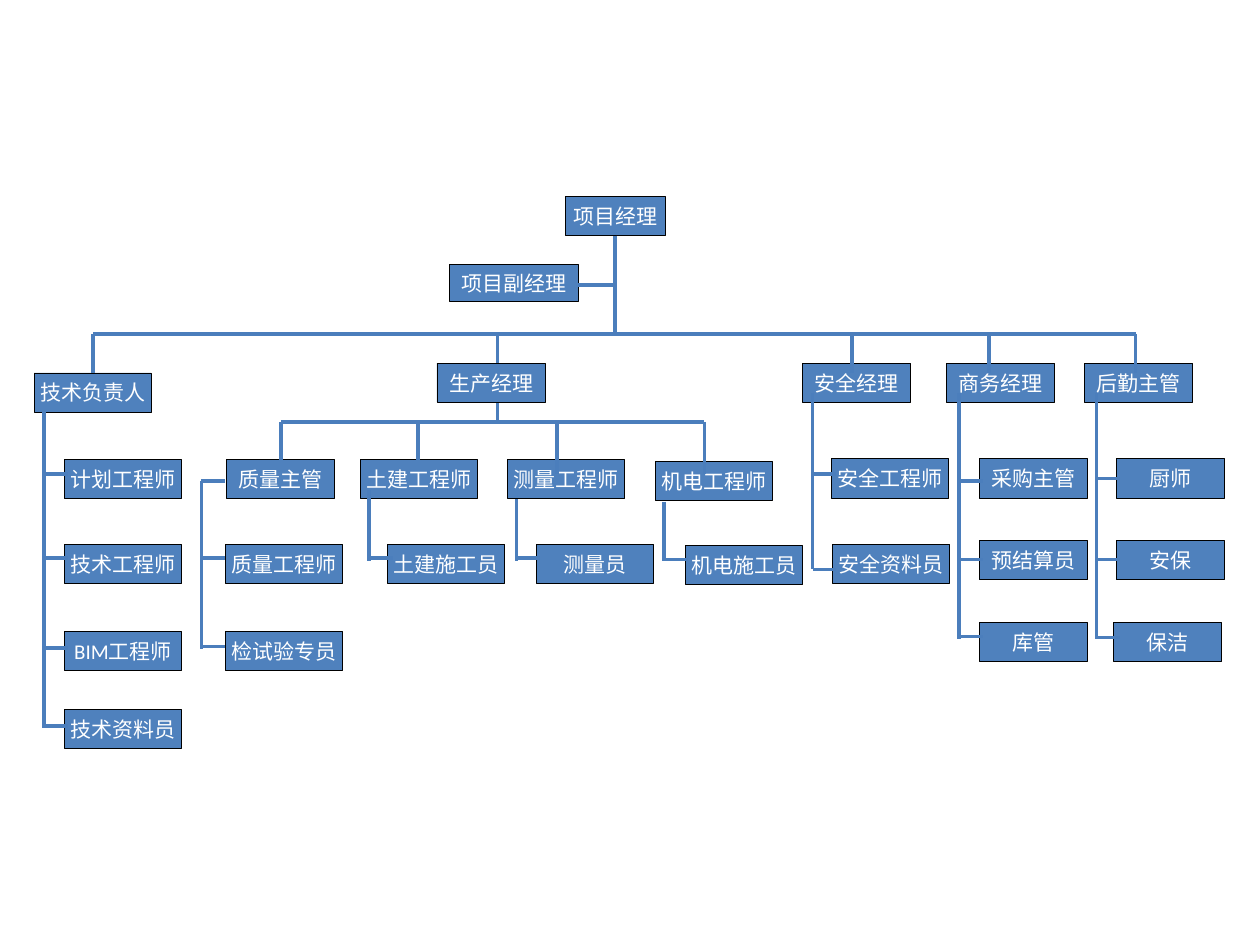
"""Build a one-slide organisation chart of a construction project team."""
from dataclasses import dataclass

from lxml.etree import SubElement
from pptx import Presentation
from pptx.dml.color import RGBColor
from pptx.enum.shapes import MSO_CONNECTOR, MSO_SHAPE
from pptx.enum.text import MSO_ANCHOR, PP_ALIGN
from pptx.oxml.ns import qn
from pptx.slide import Slide
from pptx.util import Cm, Pt


@dataclass(frozen=True)
class Theme:
    fill: RGBColor = RGBColor(0x4F, 0x81, 0xBD)
    border: RGBColor = RGBColor(0, 0, 0)
    link: RGBColor = RGBColor(0x4B, 0x7E, 0xBC)
    text: RGBColor = RGBColor(255, 255, 255)
    font: str = "Calibri"
    size: Pt = Pt(12)
    border_width: Pt = Pt(0.5)
    link_width: Pt = Pt(2)
    inset: Cm = Cm(0.1)


@dataclass(frozen=True)
class Box:
    text: str
    x: float
    y: float
    w: float
    h: float = 0.79


@dataclass(frozen=True)
class Link:
    x1: float
    y1: float
    x2: float
    y2: float


@dataclass(frozen=True)
class Rail:
    x: float
    top: float
    bottom: float
    stubs: tuple[float, ...]


@dataclass(frozen=True)
class Bus:
    y: float
    left: float
    right: float
    drops: tuple[tuple[float, float], ...]


THEME = Theme()
NARROW, WIDE = 2.18, 2.36
STUB = 0.48

BOXES = (
    Box("项目经理", 11.4, 3.96, 2.01),
    Box("项目副经理", 9.07, 5.33, 2.59, 0.74),
    Box("技术负责人", 0.69, 7.52, WIDE),
    Box("生产经理", 8.81, 7.32, NARROW),
    Box("安全经理", 16.18, 7.32, NARROW),
    Box("商务经理", 19.08, 7.32, NARROW),
    Box("后勤主管", 21.87, 7.32, NARROW),
    Box("计划工程师", 1.3, 9.27, WIDE),
    Box("技术工程师", 1.3, 10.97, WIDE),
    Box("BIM工程师", 1.3, 12.73, WIDE),
    Box("技术资料员", 1.3, 14.3, WIDE),
    Box("质量主管", 4.57, 9.27, NARROW),
    Box("质量工程师", 4.55, 10.97, WIDE),
    Box("检试验专员", 4.55, 12.73, WIDE),
    Box("土建工程师", 7.26, 9.27, WIDE),
    Box("土建施工员", 7.82, 10.97, WIDE),
    Box("测量工程师", 10.24, 9.27, WIDE),
    Box("测量员", 10.82, 10.97, WIDE),
    Box("机电工程师", 13.21, 9.3, WIDE),
    Box("机电施工员", 13.82, 11, WIDE),
    Box("安全工程师", 16.76, 9.25, WIDE),
    Box("安全资料员", 16.79, 10.97, WIDE),
    Box("采购主管", 19.74, 9.25, NARROW),
    Box("预结算员", 19.74, 10.9, NARROW),
    Box("库管", 19.74, 12.55, NARROW),
    Box("厨师", 22.5, 9.25, NARROW),
    Box("安保", 22.5, 10.9, NARROW),
    Box("保洁", 22.45, 12.55, NARROW),
)

TRUNKS = (
    Link(12.4, 4.75, 12.4, 6.73),
    Link(11.66, 5.74, 12.4, 5.74),
    Link(10.03, 8.13, 10.03, 8.51),
)

BUSES = (
    Bus(6.73, 1.88, 22.91,
        ((1.88, 7.52), (10.03, 7.32), (17.17, 7.52), (19.94, 7.52), (22.89, 7.52))),
    Bus(8.51, 5.66, 14.2,
        ((5.66, 9.27), (8.43, 9.27), (11.23, 9.55), (14.2, 9.55))),
)

RAILS = (
    Rail(0.89, 8.31, 14.68, (9.55, 11.25, 13.06, 14.64)),
    Rail(4.06, 9.7, 13.08, (9.7, 11.25, 13.03)),
    Rail(7.44, 9.88, 11.3, (11.25,)),
    Rail(10.41, 10.06, 11.3, (11.25,)),
    Rail(13.39, 10.11, 11.3, (11.28,)),
    Rail(16.38, 7.92, 11.48, (9.55, 11.48)),
    Rail(19.33, 7.92, 12.88, (9.7, 11.28, 12.83)),
    Rail(22.1, 7.92, 12.88, (9.65, 11.28, 12.85)),
)


def draw_box(s: Slide, box: Box) -> None:
    sp = s.shapes.add_shape(MSO_SHAPE.RECTANGLE, Cm(box.x), Cm(box.y), Cm(box.w), Cm(box.h))
    sp.shadow.inherit = False
    sp.fill.solid()
    sp.fill.fore_color.rgb = THEME.fill
    sp.line.color.rgb = THEME.border
    sp.line.width = THEME.border_width
    tf = sp.text_frame
    tf.margin_left = tf.margin_right = tf.margin_top = tf.margin_bottom = THEME.inset
    tf.vertical_anchor = MSO_ANCHOR.MIDDLE
    tf.word_wrap = False
    tf.text = box.text
    p = tf.paragraphs[0]
    p.alignment = PP_ALIGN.CENTER
    font = p.runs[0].font
    font.name = THEME.font
    font.size = THEME.size
    font.color.rgb = THEME.text


def draw_link(s: Slide, link: Link) -> None:
    cxn = s.shapes.add_connector(
        MSO_CONNECTOR.STRAIGHT, Cm(link.x1), Cm(link.y1), Cm(link.x2), Cm(link.y2))
    cxn.line.color.rgb = THEME.link
    cxn.line.width = THEME.link_width
    SubElement(cxn._element.spPr, qn("a:effectLst"))


def draw_bus(s: Slide, bus: Bus) -> None:
    draw_link(s, Link(bus.left, bus.y, bus.right, bus.y))
    for x, bottom in bus.drops:
        draw_link(s, Link(x, bus.y, x, bottom))


def draw_rail(s: Slide, rail: Rail) -> None:
    draw_link(s, Link(rail.x, rail.top, rail.x, rail.bottom))
    for y in rail.stubs:
        draw_link(s, Link(rail.x, y, rail.x + STUB, y))


def main() -> None:
    prs = Presentation()
    prs.slide_width, prs.slide_height = Cm(25.4), Cm(19.05)
    s = prs.slides.add_slide(prs.slide_layouts[6])
    for box in BOXES:
        draw_box(s, box)
    for link in TRUNKS:
        draw_link(s, link)
    for bus in BUSES:
        draw_bus(s, bus)
    for rail in RAILS:
        draw_rail(s, rail)
    prs.save("out.pptx")


if __name__ == "__main__":
    main()
